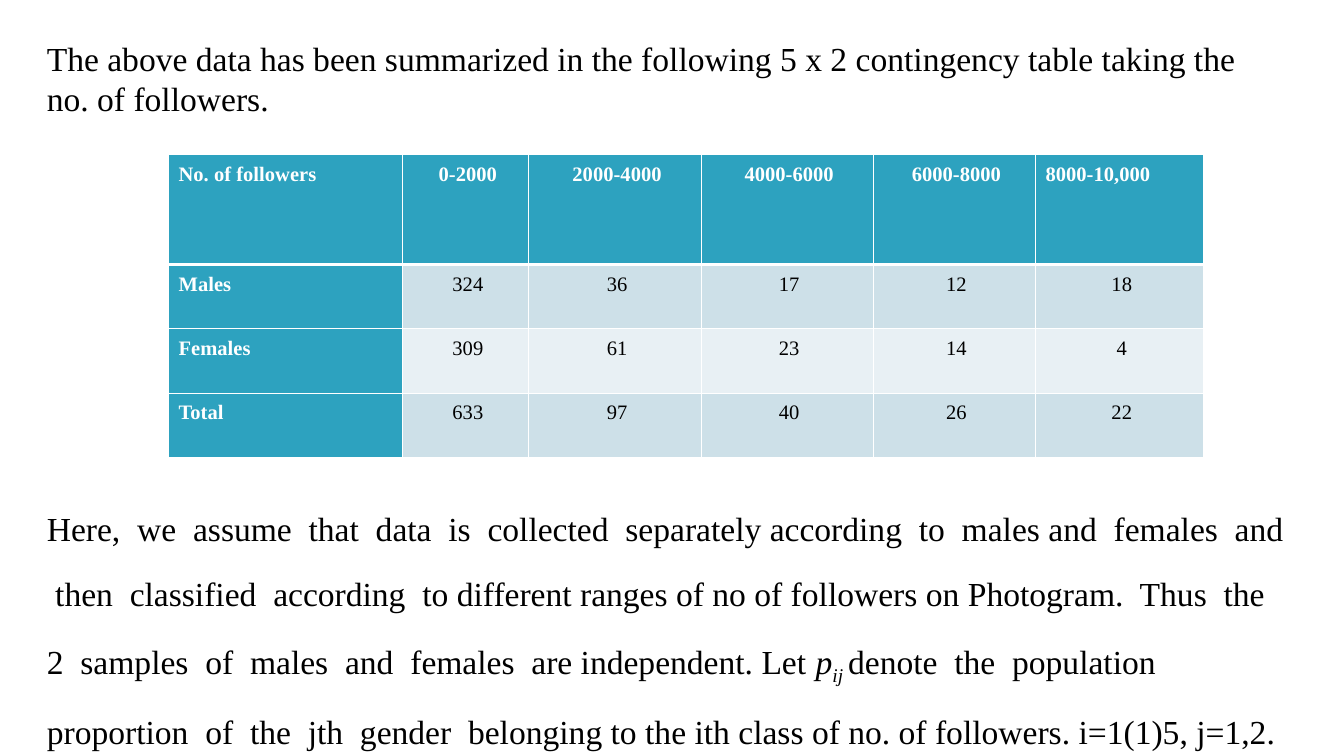
"""Build a slide with a contingency table of followers by gender."""
from lxml import etree
from pptx import Presentation
from pptx.dml.color import RGBColor
from pptx.enum import text
from pptx.oxml import ns
from pptx.util import Pt

FONT = "Times New Roman"
TEAL, PALE, PALER, WHITE, BLACK = "2DA2BF", "CDE0E8", "E8F0F4", "FFFFFF", "000000"

INTRO = ("The above data has been summarized in the following 5 x 2 contingency "
         "table taking the no. of followers.")
ASSUMPTION = [
    ("Here,  we  assume  that  data  is  collected  separately according  to  males and  "
     "females  and  then  classified  according  to different ranges of no of followers on "
     "Photogram.  Thus  the  2  samples  of  males  and  females  are independent. Let ", {}),
    ("p", {"italic": True}),
    ("ij ", {"italic": True, "baseline": -25000}),
    ("denote  the  population  proportion  of  the  jth  gender  belonging to the ith class "
     "of no. of followers. i=1(1)5, j=1,2.", {}),
]
FOLLOWERS = [
    ["No. of followers", "0-2000", "2000-4000", "4000-6000", "6000-8000", "8000-10,000"],
    ["Males", "324", "36", "17", "12", "18"],
    ["Females", "309", "61", "23", "14", "4"],
    ["Total", "633", "97", "40", "26", "22"],
]
COLUMN_WIDTHS = [125.3, 67.7, 92.2, 92.2, 87.1, 90]
ROW_HEIGHTS = [59, 34.4, 34.4, 34.4]


def color(value):
    """Turn a hex string into a colour."""
    return RGBColor.from_string(value)


def write(paragraph, words, size=18, fill=BLACK, bold=False, italic=False, baseline=None):
    """Add a formatted run to a paragraph."""
    run = paragraph.add_run()
    run.text = words
    font = run.font
    font.name, font.size, font.bold, font.italic = FONT, Pt(size), bold, italic
    font.color.rgb = color(fill)
    if baseline:
        run._r.get_or_add_rPr().set("baseline", str(baseline))


def set_borders(cell, widths):
    """Draw white cell borders with the given width for each side."""
    for side, width in widths.items():
        line = etree.SubElement(cell._tc.get_or_add_tcPr(), ns.qn(f"a:ln{side}"),
                                w=str(Pt(width)))
        solid = etree.SubElement(line, ns.qn("a:solidFill"))
        etree.SubElement(solid, ns.qn("a:srgbClr"), val=WHITE)


def add_explanation(slide):
    """Add the paragraphs above and below the table."""
    box = slide.shapes.add_textbox(Pt(18), Pt(16.6), Pt(678.2), Pt(378.7))
    frame = box.text_frame
    frame.word_wrap = True
    write(frame.paragraphs[0], INTRO)
    assumption = frame.add_paragraph()
    assumption.space_before = Pt(196)
    assumption.line_spacing = 1.6
    for words, style in ASSUMPTION:
        write(assumption, words, **style)


def add_followers(slide):
    """Add the contingency table."""
    table = slide.shapes.add_table(len(FOLLOWERS), len(COLUMN_WIDTHS), Pt(90.3), Pt(82.8),
                                   Pt(sum(COLUMN_WIDTHS)), Pt(sum(ROW_HEIGHTS))).table
    for column, width in zip(table.columns, COLUMN_WIDTHS):
        column.width = Pt(width)
    for row, height in zip(table.rows, ROW_HEIGHTS):
        row.height = Pt(height)
    last = len(COLUMN_WIDTHS) - 1
    for r, values in enumerate(FOLLOWERS):
        for c, value in enumerate(values):
            cell = table.cell(r, c)
            heading = r == 0 or c == 0
            cell.margin_left, cell.margin_right = Pt(5.4), Pt(3)
            set_borders(cell, {"L": 0.45, "R": 0.45, "T": 1.47 if r == 1 else 0.45,
                               "B": 1.47 if r == 0 else 0.45})
            cell.fill.solid()
            cell.fill.fore_color.rgb = color(TEAL if heading else PALE if r % 2 else PALER)
            paragraph = cell.text_frame.paragraphs[0]
            paragraph.line_spacing = 1.07
            left = c == 0 or (r == 0 and c == last)
            paragraph.alignment = text.PP_ALIGN.LEFT if left else text.PP_ALIGN.CENTER
            write(paragraph, value, size=11, fill=WHITE if heading else BLACK, bold=heading)


def main():
    """Build and save the slide."""
    deck = Presentation()
    deck.slide_width, deck.slide_height = Pt(720), Pt(405)
    slide = deck.slides.add_slide(deck.slide_layouts[6])
    add_explanation(slide)
    add_followers(slide)
    deck.save("out.pptx")


if __name__ == "__main__":
    main()
